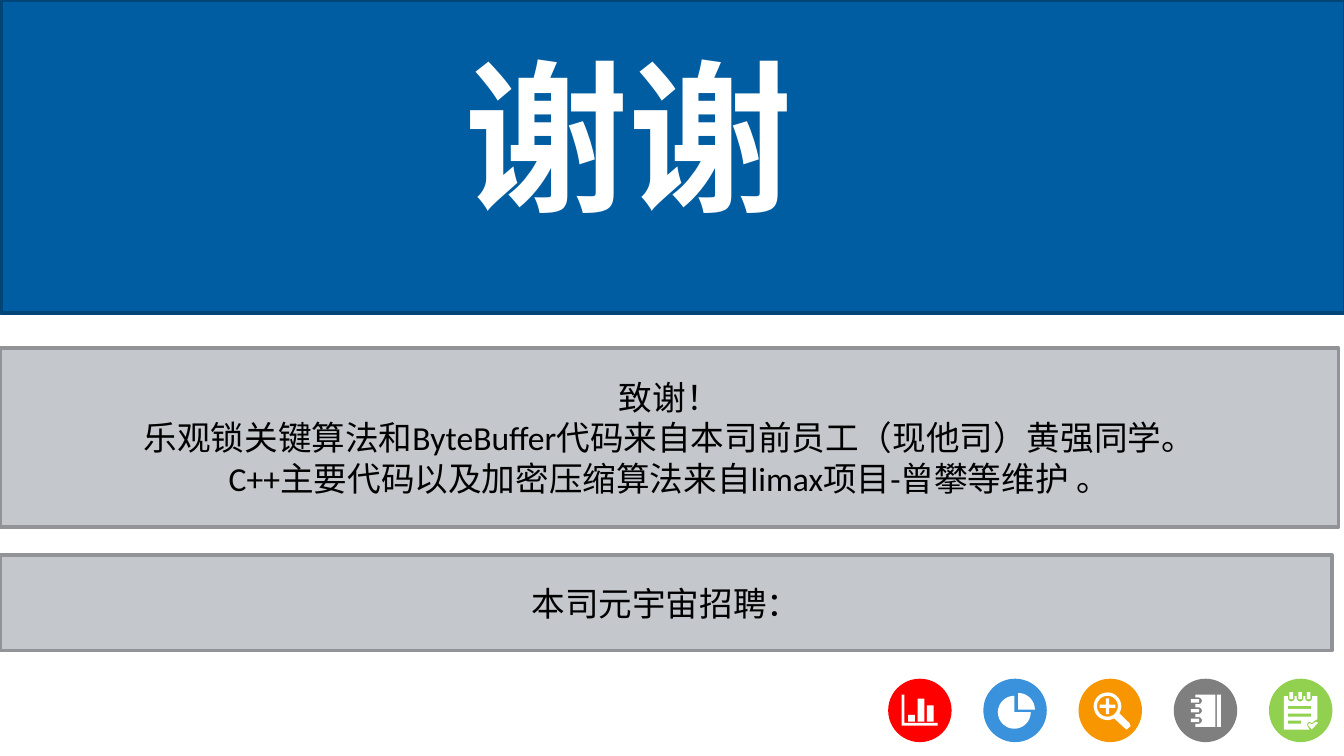
from math import cos, radians, sin

from pptx import Presentation
from pptx.dml.color import RGBColor
from pptx.enum.shapes import MSO_SHAPE as Shape
from pptx.enum.text import MSO_ANCHOR as Anchor, MSO_AUTO_SIZE as AutoSize, PP_ALIGN as Align
from pptx.oxml.ns import qn
from pptx.util import Pt

BADGE_SIZE = 34
BADGE_LEFT = 475.8
BADGE_TOP = 363.6
BADGE_STEP = 51
UNITS_PER_POINT = 100
WHITE = "FFFFFF"


def paint(target, colour):
    target.solid()
    target.fore_color.rgb = RGBColor.from_string(colour)


def style_runs(frame, size, font, colour, align, bold=False):
    for paragraph in frame.paragraphs:
        paragraph.alignment = align
        for run in paragraph.runs:
            run.font.size = Pt(size)
            run.font.name = font
            run.font.bold = bold
            paint(run.font.fill, colour)
            east_asian = run.font._element.makeelement(qn("a:ea"), {"typeface": "Noto Sans CJK SC"})
            run.font._element.find(qn("a:latin")).addnext(east_asian)


def add_filled(shapes, kind, left, top, width, height, fill, outline=None):
    shape = shapes.add_shape(kind, Pt(left), Pt(top), Pt(width), Pt(height))
    shape.shadow.inherit = False
    paint(shape.fill, fill)
    if outline:
        paint(shape.line.fill, outline)
        shape.line.width = Pt(2)
    else:
        shape.line.fill.background()
    return shape


def add_panel(shapes, top, width, height, text):
    panel = add_filled(shapes, Shape.RECTANGLE, 0, top, width, height, "C4C7CB", "919396")
    frame = panel.text_frame
    frame.text = text
    frame.word_wrap = True
    frame.vertical_anchor = Anchor.MIDDLE
    style_runs(frame, 18, "Calibri", "000000", Align.CENTER)


def add_title(shapes, text):
    title = shapes.add_textbox(Pt(241.2), Pt(15.84), Pt(188.64), Pt(112.32))
    frame = title.text_frame
    frame.text = text
    frame.word_wrap = False
    frame.auto_size = AutoSize.SHAPE_TO_FIT_TEXT
    frame.margin_left = frame.margin_right = Pt(5)
    frame.margin_top = frame.margin_bottom = Pt(3)
    style_runs(frame, 88, "Noto Sans CJK SC", WHITE, Align.RIGHT, bold=True)


def box(left, top, right, bottom):
    return [(left, top), (right, top), (right, bottom), (left, bottom)]


def arc(x, y, radius, start=0, end=360):
    angles = [radians(start + (end - start) * i / 36) for i in range(37)]
    return [(x + radius * cos(a), y + radius * sin(a)) for a in angles]


def bar_chart_icon():
    axes = [(7.2, 8.6), (8.7, 8.6), (8.7, 23.7), (26.6, 23.7), (26.6, 25.2), (7.2, 25.2)]
    bars = [box(10.8 + 5 * i, top, 14.4 + 5 * i, 23) for i, top in enumerate((19.4, 10.8, 14.4))]
    return [axes, *bars]


def pie_icon():
    slice_centre, rest_centre = (18.7, 16.6), (16.6, 18)
    return [
        [slice_centre, *arc(*slice_centre, 8.9, -90, 0)],
        [rest_centre, *arc(*rest_centre, 8.8, 0, 270)],
    ]


def magnifier_icon():
    x, y = 15.5, 14.8
    handle = [(27.2, 23.8), (27.9, 25.4), (25.8, 27.3), (25, 26.8)]
    arm, half = 4.2, 0.9
    signs = ((-1, -1), (1, -1), (1, 1), (-1, 1))
    plus = []
    for sx, sy in signs:
        across = [(arm, half), (half, half), (half, arm)]
        for dx, dy in across if sx == sy else across[::-1]:
            plus.append((x + sx * dx, y + sy * dy))
    return [arc(x, y, 7.4, 61, 391) + handle, arc(x, y, 5.6), plus]


def notebook_icon():
    ring_rows = (11.9, 17.2, 22.4)
    page = [(22.3, 25.9), (22.3, 8.6), (11.6, 8.6)]
    for y in ring_rows:
        page += [(11.6, y - 1.8), *arc(13.3, y, 1.8, -90, 90), (11.6, y + 1.8)]
    page.append((11.6, 25.9))
    rings = [box(9.2, y - 0.9, 13.7, y + 0.9) for y in ring_rows]
    return [box(23.2, 8.6, 25.3, 25.9), page, *rings]


def checklist_icon():
    peg_columns = (12, 16.7, 21.3)
    page = [(8, 27.3), (8, 9.4)]
    for x in peg_columns:
        page += [(x - 1.8, 9.4), *arc(x, 10.4, 1.8, 180, 0), (x + 1.8, 9.4)]
    page += [(26, 9.4), (26, 21.8), (24.6, 22.4), (23, 23.8), (21.6, 23), (20.2, 24.5), (21.8, 27.3)]
    pegs = [box(x - 0.95, 7.2, x + 0.95, 10.9) for x in peg_columns]
    lines = [box(10.2, y, right, y + 1.6) for y, right in ((14.6, 22.7), (18.7, 22.7), (22.5, 17.3))]
    tick = [(26.3, 23.6), (25.2, 23), (23, 24.5), (21.6, 23.8), (20.9, 24.8), (23, 27.2)]
    return [page, *pegs, *lines, tick]


def add_badge(shapes, left, fill, contours):
    badge = shapes.add_group_shape().shapes
    add_filled(badge, Shape.OVAL, left, BADGE_TOP, BADGE_SIZE, BADGE_SIZE, fill)
    scaled = [[(x * UNITS_PER_POINT, y * UNITS_PER_POINT) for x, y in c] for c in contours]
    builder = badge.build_freeform(*scaled[0][0], scale=Pt(1) / UNITS_PER_POINT)
    for index, contour in enumerate(scaled):
        if index:
            builder.move_to(*contour[0])
        builder.add_line_segments(contour[1:], close=True)
    icon = builder.convert_to_shape(Pt(left), Pt(BADGE_TOP))
    icon.shadow.inherit = False
    paint(icon.fill, WHITE)
    icon.line.fill.background()


def main():
    deck = Presentation()
    deck.slide_width, deck.slide_height = Pt(720), Pt(405)
    shapes = deck.slides.add_slide(deck.slide_layouts[6]).shapes

    add_filled(shapes, Shape.RECTANGLE, 0.72, 0, 720, 167.76, "005DA2", "004578")
    add_title(shapes, "谢谢")

    badges = [
        ("FF0000", bar_chart_icon()),
        ("3992DB", pie_icon()),
        ("F79600", magnifier_icon()),
        ("7F7F7F", notebook_icon()),
        ("92D050", checklist_icon()),
    ]
    for index, (fill, contours) in enumerate(badges):
        add_badge(shapes, BADGE_LEFT + index * BADGE_STEP, fill, contours)

    add_panel(shapes, 297.36, 713.52, 51.12, "本司元宇宙招聘：")
    thanks = [
        "致谢！",
        "乐观锁关键算法和ByteBuffer代码来自本司前员工（现他司）黄强同学。",
        "C++主要代码以及加密压缩算法来自limax项目-曾攀等维护 。",
    ]
    add_panel(shapes, 186.48, 717.12, 95.76, "\n".join(thanks))

    deck.save("out.pptx")


if __name__ == "__main__":
    main()
